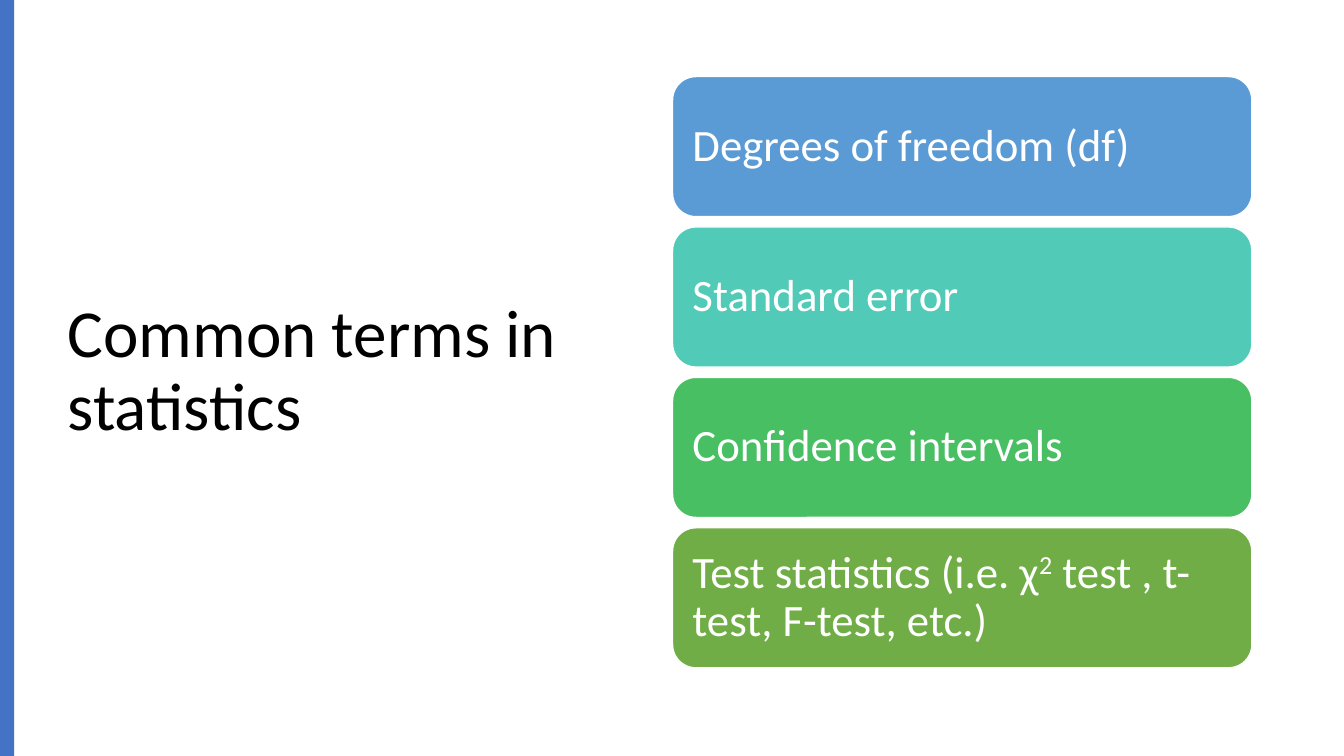
from pptx import Presentation
from pptx.dml.color import RGBColor
from pptx.enum.shapes import MSO_SHAPE
from pptx.enum.text import MSO_ANCHOR, MSO_AUTO_SIZE, PP_ALIGN
from pptx.util import Cm, Pt

RECT = MSO_SHAPE.RECTANGLE
ROUND = MSO_SHAPE.ROUNDED_RECTANGLE
MIDDLE = MSO_ANCHOR.MIDDLE
FIXED = MSO_AUTO_SIZE.NONE
LEFT = PP_ALIGN.LEFT

BLACK = RGBColor(0x00, 0x00, 0x00)
WHITE = RGBColor(0xFF, 0xFF, 0xFF)
NAVY = RGBColor(0x44, 0x72, 0xC4)
BLUE = RGBColor(0x5B, 0x9B, 0xD5)
TEAL = RGBColor(0x52, 0xCA, 0xB8)
GREEN = RGBColor(0x49, 0xBF, 0x64)
OLIVE = RGBColor(0x70, 0xAD, 0x47)

TERMS = [
    (BLUE, ["Degrees of freedom (df)"]),
    (TEAL, ["Standard error"]),
    (GREEN, ["Confidence intervals"]),
    (OLIVE, ["Test statistics (i.e. χ", "2", " test , t-test, F-test, etc.)"]),
]
FRAME = {"word_wrap": True, "auto_size": FIXED, "vertical_anchor": MIDDLE}
INSET = {f"margin_{side}": Cm(0.33) for side in ("left", "top", "right", "bottom")}
PARA = {"alignment": LEFT, "line_spacing": 0.9}


def apply(target, values):
    for name, value in values.items():
        setattr(target, name, value)


def write(frame, parts, size, color):
    para = frame.paragraphs[0]
    apply(para, PARA)
    for index, part in enumerate(parts):
        run = para.add_run()
        run.text = part
        apply(run.font, {"name": "Calibri", "size": Pt(size)})
        run.font.color.rgb = color
        if index % 2:
            run.font._element.set("baseline", "30000")


deck = Presentation()
apply(deck, {"slide_width": Cm(33.87), "slide_height": Cm(19.05)})
slide = deck.slides.add_slide(deck.slide_layouts[5])

title = slide.shapes.title
apply(title, {"left": Cm(1.45), "top": Cm(1.73), "width": Cm(14.4), "height": Cm(15.29)})
apply(title.text_frame, FRAME)
write(title.text_frame, ["Common terms in statistics"], 48, BLACK)

stripe = slide.shapes.add_shape(RECT, 0, 0, Cm(0.36), deck.slide_height)
stripe.shadow.inherit = False
stripe.fill.solid()
stripe.fill.fore_color.rgb = NAVY
stripe.line.fill.background()

for row, (color, parts) in enumerate(TERMS):
    card = slide.shapes.add_shape(ROUND, Cm(16.95), Cm(1.93 + 3.79 * row), Cm(14.6), Cm(3.53))
    card.shadow.inherit = False
    card.fill.solid()
    card.fill.fore_color.rgb = color
    card.line.color.rgb = WHITE
    card.line.width = Pt(1)
    apply(card.text_frame, {**FRAME, **INSET})
    write(card.text_frame, parts, 32, WHITE)

deck.save("out.pptx")
